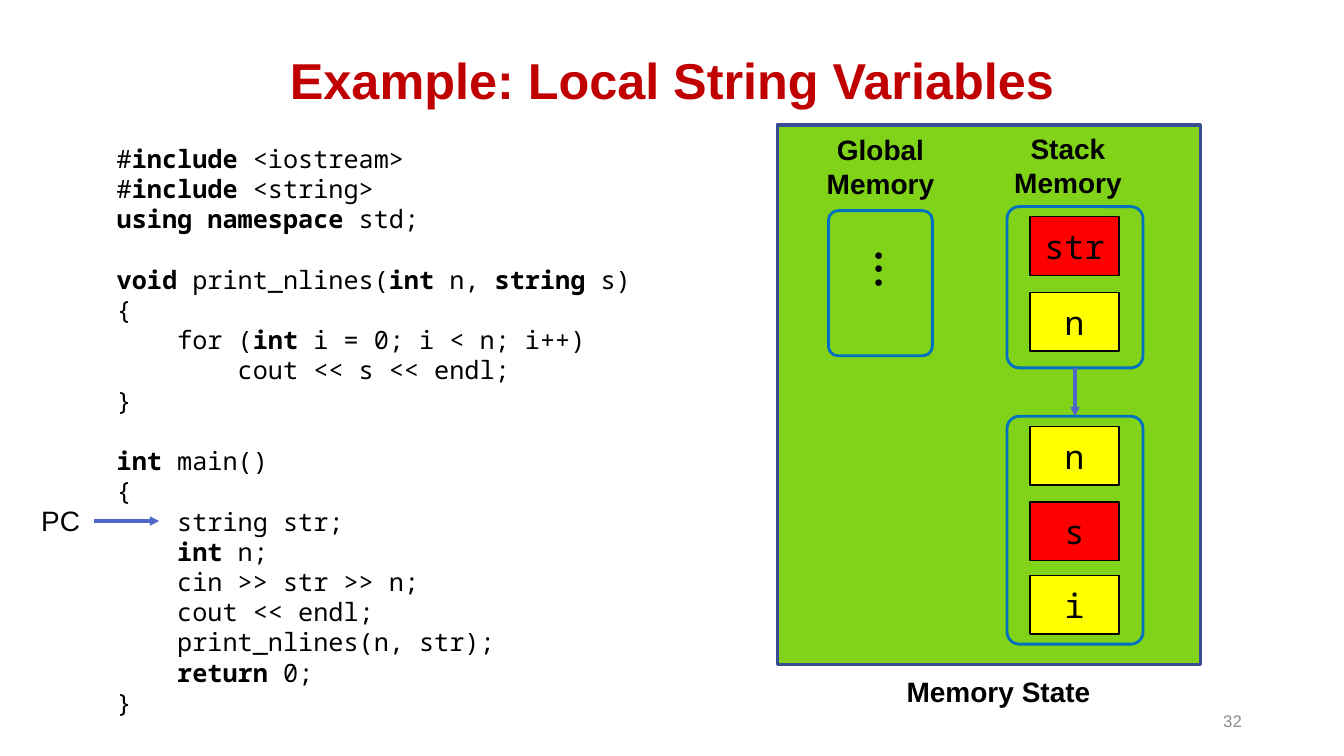
from dataclasses import dataclass

from lxml.etree import SubElement
from pptx import Presentation
from pptx.dml.color import RGBColor
from pptx.enum.shapes import MSO_CONNECTOR, MSO_SHAPE
from pptx.enum.text import MSO_ANCHOR as Anchor, MSO_AUTO_SIZE as AutoSize, PP_ALIGN as Align
from pptx.oxml.ns import qn
from pptx.util import Pt


@dataclass(frozen=True)
class Theme:
    """Fonts, colours and type sizes of the slide."""
    sans: str = "Arial"
    mono: str = "Noto Sans Mono"
    title: str = "C00000"
    ink: str = "000000"
    muted: str = "8C8C8C"
    panel: str = "81D31A"
    panel_edge: str = "3A4C94"
    frame: str = "0070C0"
    arrow: str = "4E67C8"
    string_cell: str = "FF0000"
    int_cell: str = "FFFF00"
    title_size: int = 36
    cell_size: int = 24
    label_size: int = 20
    code_size: int = 18
    number_size: int = 12
    dots_size: int = 11


THEME = Theme()
CODE_LINE = 21.6
CELL_LEFT, CELL_WIDTH, CELL_HEIGHT = 735.8, 63.4, 41.8
STACK_LEFT, STACK_WIDTH = 719.3, 97.2
STRING, INT = THEME.string_cell, THEME.int_cell
MAIN_CELLS = [("str", STRING, 154.8), ("n", INT, 208.8)]
CALL_CELLS = [("n", INT, 304.6), ("s", STRING, 358.6), ("i", INT, 411.1)]

CODE = """\
#*include* <iostream>
#*include* <string>
*using namespace* std;

*void *print_nlines(*int* n, *string* s)
{
    for (*int *i = 0; i < n; i++)
        cout << s << endl;
}

*int* main()
{
    string str;
    *int* n;
    cin >> str >> n;
    cout << endl;
    print_nlines(n, str);
    *return* 0;
}"""


def add_run(paragraph, text, size, color=THEME.ink, bold=False, face=THEME.sans):
    """Append one formatted run to a paragraph."""
    run = paragraph.add_run()
    run.text = text
    run.font.name, run.font.size, run.font.bold = face, Pt(size), bold
    run.font.color.rgb = RGBColor.from_string(color)


def add_box(slide, left, top, width, height):
    """Add an empty wrapping text box and return it."""
    box = slide.shapes.add_textbox(Pt(left), Pt(top), Pt(width), Pt(height))
    box.text_frame.word_wrap = True
    return box


def add_label(slide, lines, bounds, size=THEME.label_size, bold=True,
              align=Align.CENTER, color=THEME.ink):
    """Add a label with one paragraph per line."""
    label = add_box(slide, *bounds)
    frame = label.text_frame
    for index, line in enumerate(lines):
        paragraph = frame.add_paragraph() if index else frame.paragraphs[0]
        paragraph.alignment = align
        add_run(paragraph, line, size, color, bold)
    return label


def add_code(slide, code, bounds):
    """Add a listing whose starred words are bold and whose empty lines are spacing."""
    frame = add_box(slide, *bounds).text_frame
    paragraph, gap = frame.paragraphs[0], 0
    for index, line in enumerate(code.split("\n")):
        if not line:
            gap = CODE_LINE
            continue
        if index:
            paragraph = frame.add_paragraph()
        if gap:
            paragraph.space_before, gap = Pt(gap), 0
        for part, text in enumerate(line.split("*")):
            if text:
                add_run(paragraph, text, THEME.code_size, bold=part % 2 == 1, face=THEME.mono)


def add_block(slide, kind, bounds, edge, weight, fill=None):
    """Add an outlined shape, filled only when a colour is given."""
    block = slide.shapes.add_shape(kind, *map(Pt, bounds))
    block.shadow.inherit = False
    block.line.color.rgb = RGBColor.from_string(edge)
    block.line.width = Pt(weight)
    if fill:
        block.fill.solid()
        block.fill.fore_color.rgb = RGBColor.from_string(fill)
    else:
        block.fill.background()
    return block


def add_memory_frame(slide, bounds):
    """Add the rounded outline around a memory area."""
    outline = add_block(slide, MSO_SHAPE.ROUNDED_RECTANGLE, bounds, THEME.frame, 2)
    outline.adjustments[0] = 0.09
    return outline


def add_stack_frame(slide, cells, top, height):
    """Add the variable cells of one call and the outline around them."""
    for variable, fill, cell_top in cells:
        bounds = (CELL_LEFT, cell_top, CELL_WIDTH, CELL_HEIGHT)
        cell = add_block(slide, MSO_SHAPE.RECTANGLE, bounds, THEME.ink, 1, fill)
        cell.text_frame.vertical_anchor = Anchor.MIDDLE
        paragraph = cell.text_frame.paragraphs[0]
        paragraph.alignment = Align.CENTER
        add_run(paragraph, variable, THEME.cell_size, face=THEME.mono)
    return add_memory_frame(slide, (STACK_LEFT, top, STACK_WIDTH, height))


def add_arrow(slide, start_x, start_y, end_x, end_y):
    """Add a straight arrow and return it."""
    arrow = slide.shapes.add_connector(
        MSO_CONNECTOR.STRAIGHT, Pt(start_x), Pt(start_y), Pt(end_x), Pt(end_y))
    arrow.line.color.rgb = RGBColor.from_string(THEME.arrow)
    arrow.line.width = Pt(2.25)
    SubElement(arrow.line._get_or_add_ln(), qn("a:tailEnd"), type="triangle")
    SubElement(arrow._element.spPr, qn("a:effectLst"))
    return arrow


def set_title(slide, text):
    """Place and format the title placeholder."""
    title = slide.shapes.title
    title.left, title.top, title.width, title.height = map(Pt, (66.2, 28.8, 828, 61.9))
    title.text_frame.auto_size = AutoSize.NONE
    title.text_frame.vertical_anchor = Anchor.MIDDLE
    paragraph = title.text_frame.paragraphs[0]
    paragraph.alignment, paragraph.line_spacing = Align.CENTER, 0.9
    add_run(paragraph, text, THEME.title_size, THEME.title, True)


def main():
    """Build the slide and save it."""
    deck = Presentation()
    deck.slide_width, deck.slide_height = Pt(960), Pt(540)
    slide = deck.slides.add_slide(deck.slide_layouts[5])

    set_title(slide, "Example: Local String Variables")
    number = add_label(slide, ["32"], (678.2, 500.4, 216, 28.8), THEME.number_size,
                       False, Align.RIGHT, THEME.muted)
    number.text_frame.vertical_anchor = Anchor.MIDDLE
    add_code(slide, CODE, (76.3, 98.6, 458.6, 421.9))

    add_label(slide, ["Memory State"], (599.8, 478.1, 226.8, 31.7))
    add_block(slide, MSO_SHAPE.RECTANGLE, (555.1, 89.3, 302.4, 385.2),
              THEME.panel_edge, 2.25, THEME.panel)
    add_label(slide, ["Stack", "Memory"], (709.2, 90.7, 107.3, 55.4))
    add_label(slide, ["Global", "Memory"], (575.3, 91.4, 107.3, 55.4))

    dots = add_label(slide, ["● ● ●"], (598.3, 192.2, 60.5, 20.9), THEME.dots_size,
                     False, Align.LEFT)
    dots.rotation = 90
    add_memory_frame(slide, (591.8, 150.5, 74.2, 103.7))

    main_frame = add_stack_frame(slide, MAIN_CELLS, 147.6, 115.2)
    call_frame = add_stack_frame(slide, CALL_CELLS, 297.4, 162.7)
    center = STACK_LEFT + STACK_WIDTH / 2
    call_arrow = add_arrow(slide, center, 262.8, center, 297.4)
    call_arrow.begin_connect(main_frame, 2)
    call_arrow.end_connect(call_frame, 0)

    add_label(slide, ["PC"], (22.3, 356.4, 47.5, 31.7), bold=False, align=Align.LEFT)
    add_arrow(slide, 67, 372.2, 113.8, 372.2)

    deck.save("out.pptx")


if __name__ == "__main__":
    main()
